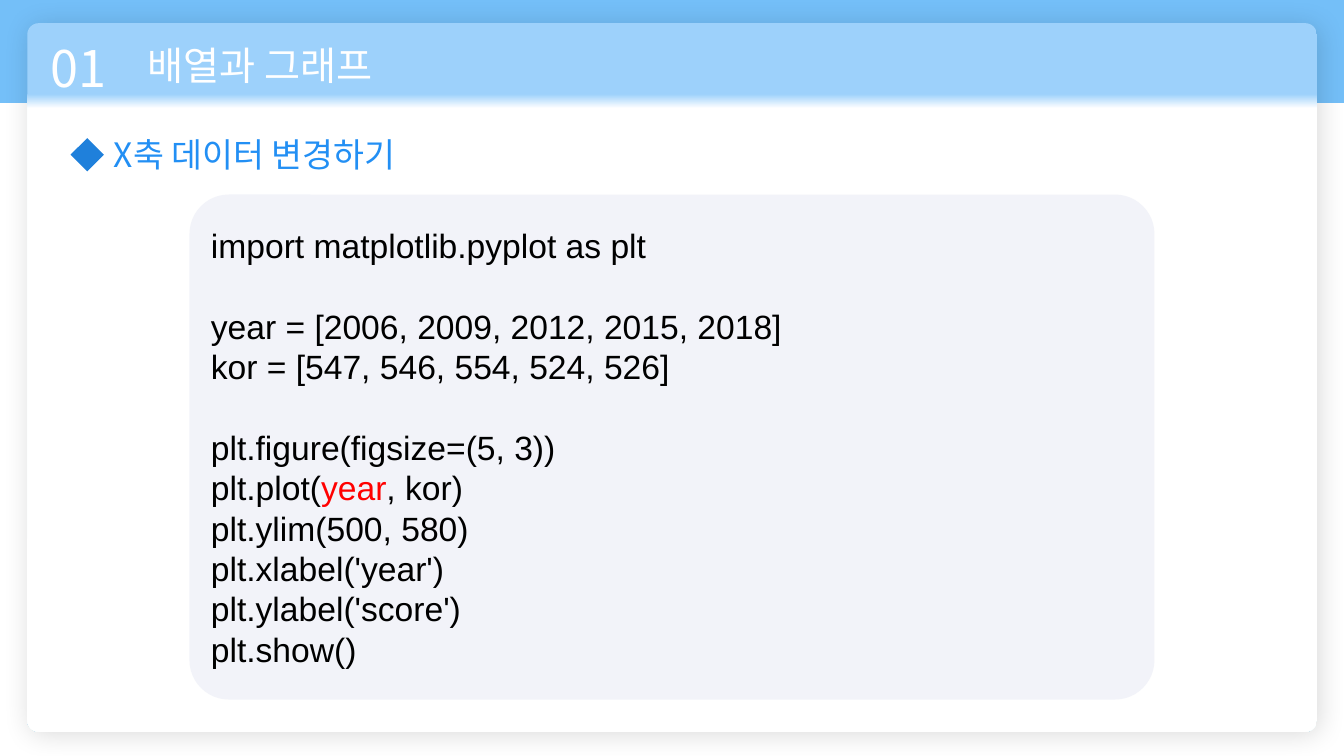
from lxml import etree
from pptx import Presentation
from pptx.dml.color import RGBColor
from pptx.enum.shapes import MSO_SHAPE
from pptx.enum.text import MSO_ANCHOR, MSO_AUTO_SIZE, PP_ALIGN
from pptx.oxml import parse_xml
from pptx.oxml.ns import nsdecls, qn
from pptx.util import Inches, Pt

RECT, ROUND, GEM = MSO_SHAPE.RECTANGLE, MSO_SHAPE.ROUNDED_RECTANGLE, MSO_SHAPE.DIAMOND
TOP, MIDDLE = MSO_ANCHOR.TOP, MSO_ANCHOR.MIDDLE
LEFT, FIXED = PP_ALIGN.LEFT, MSO_AUTO_SIZE.NONE

CODE = [
    ["import matplotlib.pyplot as plt"],
    [],
    ["year = [2006, 2009, 2012, 2015, 2018]"],
    ["kor = [547, 546, 554, 524, 526]"],
    [],
    ["plt.figure(figsize=(5, 3))"],
    ["plt.plot(", ("year", "FF0000"), ", kor)"],
    ["plt.ylim(500, 580)"],
    ["plt.xlabel('year')"],
    ["plt.ylabel('score')"],
    ["plt.show()"],
]


def color(code):
    return RGBColor.from_string(code)


def assign(item, values):
    for name, value in values.items():
        setattr(item, name, value)


class Deck:
    """Places are left, top, width and height in percent of the slide."""

    sans, mono = "Noto Sans CJK KR", "Arial"
    pitch = Pt(28.8)

    def __init__(self):
        self.file = Presentation()
        assign(self.file, {"slide_width": Inches(13.33), "slide_height": Inches(7.5)})
        self.slide = self.file.slides.add_slide(self.file.slide_layouts[1])
        self.shapes = self.slide.shapes

    def box(self, left, top, width, height):
        wide, high = self.file.slide_width / 100, self.file.slide_height / 100
        return [round(n) for n in (left * wide, top * high, width * wide, height * high)]

    def shape(self, kind, place, fill=None, curve=None):
        item = self.shapes.add_shape(kind, *self.box(*place))
        item.shadow.inherit = False
        item.line.fill.background()
        if fill:
            item.fill.solid()
            item.fill.fore_color.rgb = color(fill)
        if curve is not None:
            item.adjustments[0] = curve
        return item

    def panel(self, place, stops, curve):
        item = self.shape(ROUND, place, curve=curve)
        item.fill.gradient()
        item.fill.gradient_angle = 270
        for stop, (spot, tint) in zip(item.fill.gradient_stops, stops):
            stop.color.rgb = color(tint)
            stop.position = spot
        # Soft shadow
        glow = parse_xml(
            f'<a:outerShdw {nsdecls("a")} blurRad="{Pt(20)}" dist="{Pt(3)}" '
            'dir="2700000" algn="tl" rotWithShape="0"><a:srgbClr val="000000">'
            '<a:alpha val="14000"/></a:srgbClr></a:outerShdw>')
        item.element.spPr.find(qn("a:effectLst")).append(glow)

    def run(self, para, text, size, tint, face):
        run = para.add_run()
        run.text = text
        assign(run.font, {"size": Pt(size), "name": face, "bold": False})
        run.font.color.rgb = color(tint)
        etree.SubElement(run.font._element, qn("a:ea")).set("typeface", face)

    def label(self, item, place, text, size, tint):
        assign(item, dict(zip(("left", "top", "width", "height"), self.box(*place))))
        frame = item.text_frame
        assign(frame, {"word_wrap": True, "auto_size": FIXED, "vertical_anchor": TOP})
        para = frame.paragraphs[0]
        props = para._p.get_or_add_pPr()
        assign(para, {"alignment": LEFT, "space_before": Pt(0)})
        etree.SubElement(props, qn("a:buNone"))
        for name in ("marL", "indent"):
            props.set(name, "0")
        self.run(para, text, size, tint, self.sans)
        self.shapes._spTree.append(item.element)  # bring to front

    def text(self, place, *style):
        self.label(self.shapes.add_textbox(*self.box(*place)), place, *style)

    def code(self, item, lines, size):
        frame = item.text_frame
        assign(frame, {"word_wrap": True, "vertical_anchor": MIDDLE})
        para, gap = frame.paragraphs[0], 0
        for parts in lines:
            if not parts:
                gap = self.pitch
                continue
            if para.runs:
                para = frame.add_paragraph()
            assign(para, {"alignment": LEFT, "line_spacing": self.pitch,
                          "space_before": Pt(0) + gap})
            gap = 0
            for part in parts:
                text, tint = (part, "000000") if isinstance(part, str) else part
                self.run(para, text, size, tint, self.mono)


def main():
    deck = Deck()
    title, body = deck.slide.placeholders

    # Header band and card
    deck.shape(RECT, (0, 0, 100, 13.6), "74BFF8")
    deck.panel((2.03, 3.07, 95.95, 93.73), [(0.1, "9DD1FB"), (0.12, "FFFFFF")], 0.016)

    # Heading with its marker
    deck.label(body, (7.73, 17.07, 52.36, 6.67), "X축 데이터 변경하기", 24, "228FF4")
    deck.shape(GEM, (5.25, 18.27, 2.48, 4.4), "1F80DB")

    # Code listing
    listing = deck.shape(ROUND, (14.1, 25.73, 71.8, 66.8), "F2F3F9", 0.078)
    deck.code(listing, CODE, 24)

    # Number and title
    deck.text((3, 4.27, 7.65, 9.47), "01", 36, "FFFFFF")
    deck.label(title, (10.2, 4.8, 36.76, 7.6), "배열과 그래프", 28, "FFFFFF")

    deck.file.save("out.pptx")


if __name__ == "__main__":
    main()
